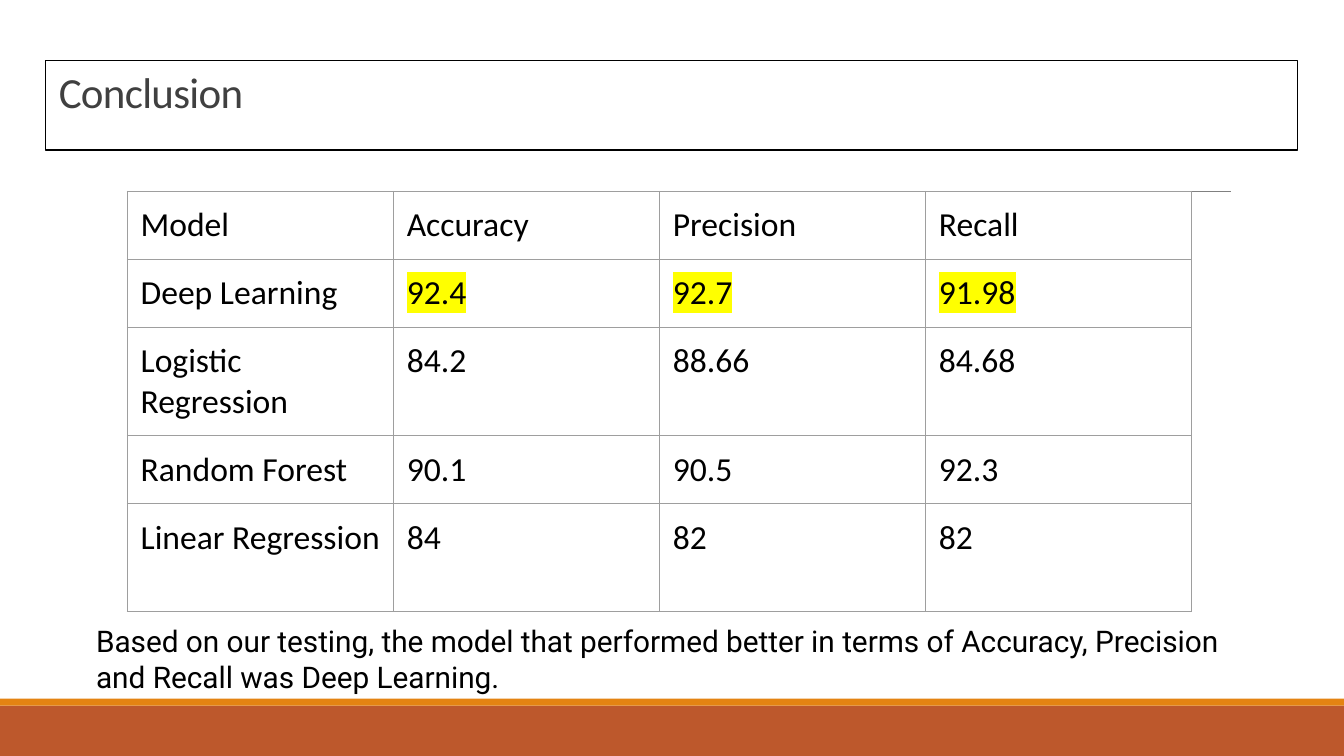
from lxml import etree
from pptx import Presentation
from pptx.dml.color import RGBColor
from pptx.enum.shapes import MSO_CONNECTOR, MSO_SHAPE
from pptx.enum.text import MSO_ANCHOR, PP_ALIGN
from pptx.oxml.ns import qn
from pptx.util import Pt

RECT = MSO_SHAPE.RECTANGLE
STRAIGHT = MSO_CONNECTOR.STRAIGHT
TOP = MSO_ANCHOR.TOP
LEFT = PP_ALIGN.LEFT

TITLE = "Conclusion"
RESULTS = [
    ("Model", "Accuracy", "Precision", "Recall"),
    ("Deep Learning", "92.4", "92.7", "91.98"),
    ("Logistic Regression", "84.2", "88.66", "84.68"),
    ("Random Forest", "90.1", "90.5", "92.3"),
    ("Linear Regression", "84", "82", "82"),
]
BEST_ROW = 1
SUMMARY = ("Based on our testing, the model that performed better in terms of "
           "Accuracy, Precision and Recall was Deep Learning.")

COLORS = {"band": "BD582C", "stripe": "E48312", "rule": "808080",
          "title": "404040", "text": "000000", "border": "9E9E9E",
          "highlight": "FFFF00"}
WIDTH, HEIGHT = 960, 540
BAND_TOP, STRIPE_HEIGHT = 504, 5
TABLE_LEFT, TABLE_TOP, COLUMN_WIDTH = 90.9, 136.6, 190.08
ROW_HEIGHTS = [48.5, 48.5, 77.3, 48.5, 77]
INSET = 9.6


def rgb(name):
    return RGBColor.from_string(COLORS[name])


def add_rect(s, x, y, w, h, fill=None):
    rect = s.shapes.add_shape(RECT, Pt(x), Pt(y), Pt(w), Pt(h))
    rect.shadow.inherit = False
    if fill:
        rect.fill.solid()
        rect.fill.fore_color.rgb = rgb(fill)
        rect.line.fill.background()
    else:
        rect.fill.background()
    return rect


def set_insets(target):
    """Give a text frame or a table cell the common margins."""
    target.margin_left = target.margin_right = Pt(INSET)
    target.margin_top = target.margin_bottom = Pt(INSET)


def write(tf, text, size, font, color):
    tf.word_wrap = True
    p = tf.paragraphs[0]
    p.alignment = LEFT
    p.font.size = Pt(size)
    p.font.name = font
    p.font.color.rgb = rgb(color)
    r = p.add_run()
    r.text = text
    return p, r


def add_color(parent, tag, color):
    """Append an element that holds one RGB colour."""
    holder = etree.SubElement(parent, qn(tag))
    etree.SubElement(holder, qn("a:srgbClr"), val=COLORS[color])


def add_borders(cell):
    props = cell._tc.get_or_add_tcPr()
    for side in ("a:lnL", "a:lnR", "a:lnT", "a:lnB"):
        line = etree.SubElement(props, qn(side), w=str(Pt(0.75)))
        add_color(line, "a:solidFill", "border")


def add_results(s):
    table = s.shapes.add_table(
        len(RESULTS), len(RESULTS[0]), Pt(TABLE_LEFT), Pt(TABLE_TOP),
        Pt(COLUMN_WIDTH * len(RESULTS[0])), Pt(sum(ROW_HEIGHTS))).table
    table.first_row = table.horz_banding = False
    for column in table.columns:
        column.width = Pt(COLUMN_WIDTH)
    for i, values in enumerate(RESULTS):
        table.rows[i].height = Pt(ROW_HEIGHTS[i])
        for j, value in enumerate(values):
            cell = table.cell(i, j)
            set_insets(cell)
            cell.vertical_anchor = TOP
            add_borders(cell)
            cell.fill.background()
            p, r = write(cell.text_frame, value, 24, "Calibri", "text")
            if i == BEST_ROW and j > 0:
                add_color(r._r.get_or_add_rPr(), "a:highlight", "highlight")


def main():
    prs = Presentation()
    prs.slide_width, prs.slide_height = Pt(WIDTH), Pt(HEIGHT)
    s = prs.slides.add_slide(prs.slide_layouts[6])

    add_rect(s, 0, BAND_TOP, WIDTH, HEIGHT - BAND_TOP, "band")
    add_rect(s, 0, BAND_TOP - STRIPE_HEIGHT, WIDTH, STRIPE_HEIGHT, "stripe")
    rule = s.shapes.add_connector(STRAIGHT, Pt(94.3), Pt(TABLE_TOP),
                                  Pt(879), Pt(TABLE_TOP))
    rule.line.color.rgb = rgb("rule")
    rule.line.width = Pt(0.5)
    etree.SubElement(rule._element.spPr, qn("a:effectLst"))

    title = add_rect(s, 32.4, 43.2, 894.5, 64)
    title.line.color.rgb = rgb("text")
    title.line.width = Pt(0.75)
    set_insets(title.text_frame)
    title.text_frame.vertical_anchor = TOP
    p, r = write(title.text_frame, TITLE, 30.7, "Calibri", "title")
    p.line_spacing = 0.85
    r._r.get_or_add_rPr().set("spc", "-50")

    add_results(s)

    summary = s.shapes.add_textbox(Pt(59), Pt(435), Pt(824.4), Pt(71.3))
    set_insets(summary.text_frame)
    write(summary.text_frame, SUMMARY, 21.3, "Roboto", "text")

    prs.save("out.pptx")


if __name__ == "__main__":
    main()
